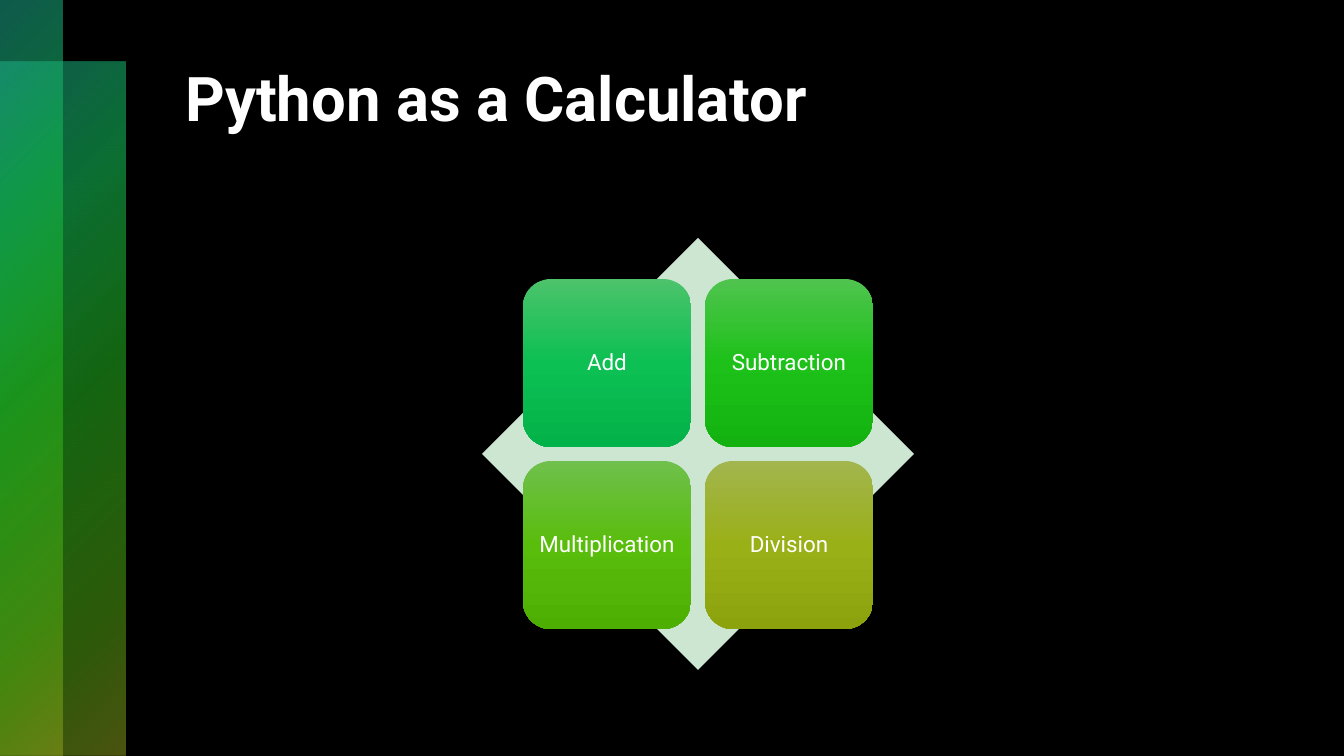
from dataclasses import dataclass

from lxml import etree
from pptx import Presentation
from pptx.dml.color import RGBColor
from pptx.enum.shapes import MSO_SHAPE
from pptx.enum.text import MSO_ANCHOR, MSO_AUTO_SIZE, PP_ALIGN
from pptx.oxml.ns import qn
from pptx.util import Pt

RECTANGLE = MSO_SHAPE.RECTANGLE
ROUNDED = MSO_SHAPE.ROUNDED_RECTANGLE
DIAMOND = MSO_SHAPE.DIAMOND
TOP, MIDDLE = MSO_ANCHOR.TOP, MSO_ANCHOR.MIDDLE
LEFT, CENTER = PP_ALIGN.LEFT, PP_ALIGN.CENTER
NO_AUTOFIT = MSO_AUTO_SIZE.NONE
EMU_PER_PX = 914400 / 100.8
TITLE_ONLY_LAYOUT = 5


@dataclass(frozen=True)
class Theme:
    font: str = "Roboto"
    background: str = "000000"
    text: str = "FFFFFF"
    diamond: str = "CCE6D1"
    title_size: int = 44
    tile_size: int = 16
    band_stops: tuple = (
        (0, "20B599", 50),
        (25, "14B855", 60),
        (50, "24B921", 55),
        (81, "5AB514", 50),
        (99, "95A91E", 50),
    )
    tile_colors: tuple = (
        ("4CC36C", "0CC053", "03B249"),
        ("50C44F", "1DC119", "13B210"),
        ("6FC04C", "59BD0C", "4EAF03"),
        ("A2B54E", "9AB017", "8DA30E"),
    )


def px(length):
    return round(length * EMU_PER_PX)


def set_attributes(target, values):
    for name, value in values.items():
        setattr(target, name, value)


class SlideBuilder:
    def __init__(self, presentation, theme):
        self.theme = theme
        layout = presentation.slide_layouts[TITLE_ONLY_LAYOUT]
        self.slide = presentation.slides.add_slide(layout)
        fill = self.slide.background.fill
        fill.solid()
        fill.fore_color.rgb = RGBColor.from_string(theme.background)

    def shape(self, kind, left, top, width, height):
        shape = self.slide.shapes.add_shape(
            kind, px(left), px(top), px(width), px(height)
        )
        shape.shadow.inherit = False
        shape.line.fill.background()
        return shape

    def gradient(self, shape, stops, radial=False):
        gradient = etree.Element(qn("a:gradFill"), rotWithShape="1")
        stop_list = etree.SubElement(gradient, qn("a:gsLst"))
        for position, color, opacity in stops:
            stop = etree.SubElement(stop_list, qn("a:gs"), pos=str(position * 1000))
            stop_color = etree.SubElement(stop, qn("a:srgbClr"), val=color)
            if opacity < 100:
                etree.SubElement(stop_color, qn("a:alpha"), val=str(opacity * 1000))
        if radial:
            circle = etree.SubElement(gradient, qn("a:path"), path="circle")
            etree.SubElement(circle, qn("a:fillToRect"), r="100000", b="100000")
        else:
            etree.SubElement(gradient, qn("a:lin"), ang="5400000", scaled="0")
        shape.element.spPr.find(qn("a:prstGeom")).addnext(gradient)

    def set_text(self, shape, text, frame_format, paragraph_format, font_format):
        frame = shape.text_frame
        frame.text = text
        paragraph = frame.paragraphs[0]
        font = paragraph.runs[0].font
        set_attributes(frame, {"word_wrap": True, "auto_size": NO_AUTOFIT, **frame_format})
        set_attributes(paragraph, paragraph_format)
        set_attributes(font, {"name": self.theme.font, **font_format})
        font.color.rgb = RGBColor.from_string(self.theme.text)

    def title(self, text, left, top, width, height):
        title = self.slide.shapes.title
        set_attributes(title, {
            "left": px(left), "top": px(top),
            "width": px(width), "height": px(height),
        })
        self.set_text(
            title, text,
            {"vertical_anchor": TOP, "margin_top": px(10)},
            {"alignment": LEFT},
            {"size": Pt(self.theme.title_size), "bold": True},
        )

    def band(self, left, top, width, height):
        band = self.shape(RECTANGLE, left, top, width, height)
        self.gradient(band, self.theme.band_stops, radial=True)

    def diamond(self, left, top, side):
        diamond = self.shape(DIAMOND, left, top, side, side)
        diamond.fill.solid()
        diamond.fill.fore_color.rgb = RGBColor.from_string(self.theme.diamond)

    def tile(self, text, colors, left, top, side):
        tile = self.shape(ROUNDED, left, top, side, side)
        self.gradient(tile, [(50 * i, color, 100) for i, color in enumerate(colors)])
        margins = ("margin_left", "margin_top", "margin_right", "margin_bottom")
        self.set_text(
            tile, text,
            {"vertical_anchor": MIDDLE, **dict.fromkeys(margins, px(7))},
            {"alignment": CENTER, "line_spacing": 0.9},
            {"size": Pt(self.theme.tile_size)},
        )


def main():
    presentation = Presentation()
    presentation.slide_width = px(1344)
    presentation.slide_height = px(756)
    theme = Theme()
    builder = SlideBuilder(presentation, theme)

    builder.band(0, 62, 126, 694)
    builder.band(0, 0, 63, 756)
    builder.title("Python as a Calculator", 175, 50, 1045, 171)
    builder.diamond(482, 238, 432)

    operations = ("Add", "Subtraction", "Multiplication", "Division")
    tile_side, tile_pitch = 168, 182
    for index, (operation, colors) in enumerate(zip(operations, theme.tile_colors)):
        row, column = divmod(index, 2)
        builder.tile(
            operation, colors,
            523 + column * tile_pitch, 279 + row * tile_pitch, tile_side,
        )

    presentation.save("out.pptx")


if __name__ == "__main__":
    main()
